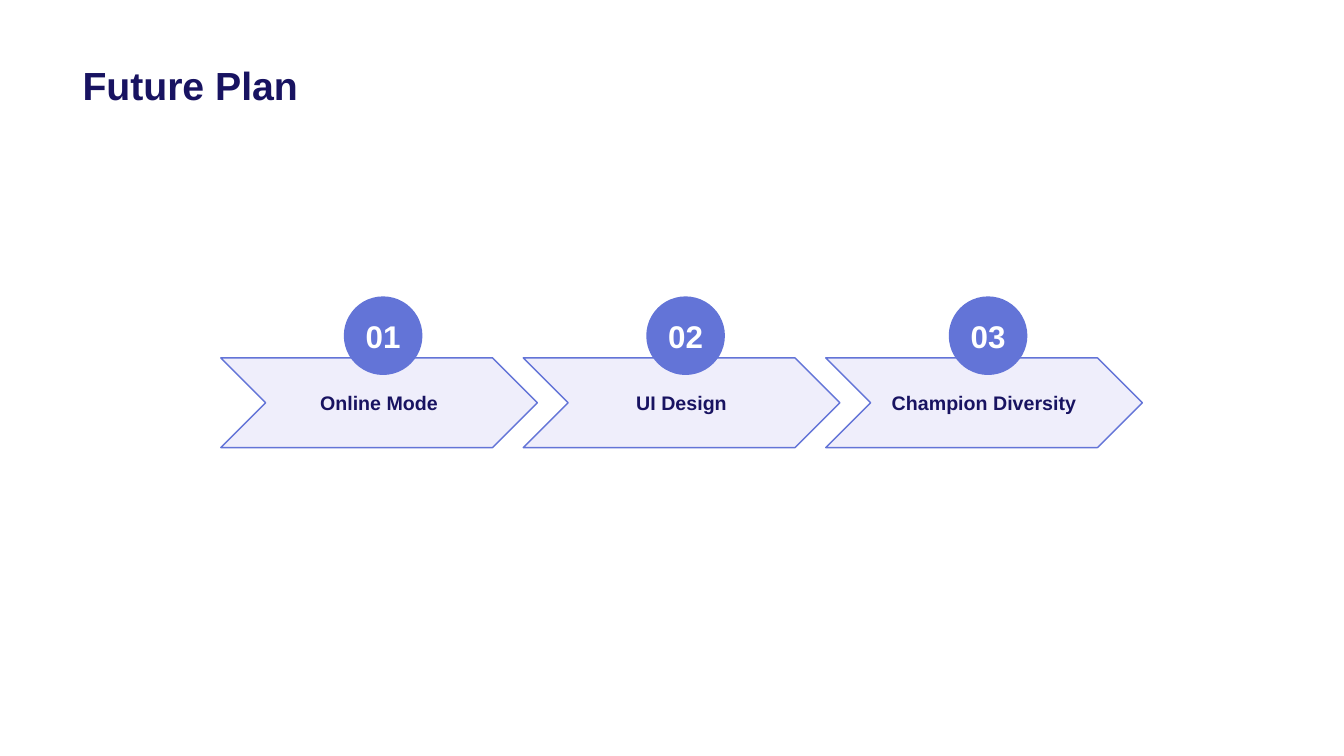
import pptx
import pptx.util
import pptx.dml.color
import pptx.enum.shapes
import pptx.enum.text
import pptx.oxml
import pptx.oxml.ns

PX = 9144  # EMU, 100 px to the inch
COLORS = {"navy": "181361", "blue": "6374D7", "violet": "635ADF", "white": "FFFFFF"}
STEPS = ["Online Mode", "UI Design", "Champion Diversity"]
STEP_LEFT, STEP_PITCH = 219, 300
SHAPE = pptx.enum.shapes.MSO_SHAPE
ALIGN = pptx.enum.text.PP_ALIGN
ANCHOR = pptx.enum.text.MSO_ANCHOR


def rgb(color):
    return pptx.dml.color.RGBColor.from_string(COLORS[color])


def box(left, top, width, height):
    return [length * PX for length in (left, top, width, height)]


def write(frame, text, size, color="navy", align=ALIGN.CENTER,
          anchor=ANCHOR.MIDDLE, margin=0):
    frame.word_wrap = True
    frame.vertical_anchor = anchor
    frame.margin_left = frame.margin_right = margin * PX
    paragraph = frame.paragraphs[0]
    paragraph.alignment = align
    run = paragraph.add_run()
    run.text = text
    run.font.name = "Arial"
    run.font.size = pptx.util.Pt(size)
    run.font.bold = True
    run.font.color.rgb = rgb(color)


def add_filled_shape(slide, kind, bounds, fill, opacity=100):
    shape = slide.shapes.add_shape(kind, *box(*bounds))
    shape.shadow.inherit = False
    shape.fill.solid()
    shape.fill.fore_color.rgb = rgb(fill)
    shape.line.fill.background()
    if opacity < 100:
        color = shape.fill._xPr.find(".//" + pptx.oxml.ns.qn("a:srgbClr"))
        alpha = pptx.oxml.parse_xml(
            f'<a:alpha {pptx.oxml.ns.nsdecls("a")} val="{opacity * 1000}"/>')
        color.append(alpha)
    return shape


def add_title(slide, text):
    title = slide.shapes.add_textbox(*box(72, 0, 1188, 112))
    write(title.text_frame, text, 28, align=ALIGN.LEFT,
          anchor=ANCHOR.BOTTOM, margin=10)


def add_step(slide, left, number, label):
    """Draw one chevron with its numbered badge on the top edge."""
    chevron = add_filled_shape(slide, SHAPE.CHEVRON, (left, 355, 314, 89),
                               "violet", opacity=10)
    chevron.line.color.rgb = rgb("blue")
    chevron.line.width = pptx.util.Pt(1)
    write(chevron.text_frame, label, 14)

    badge = add_filled_shape(slide, SHAPE.ROUNDED_RECTANGLE,
                             (left + 122, 294, 78, 78), "blue")
    badge.adjustments[0] = 0.5
    write(badge.text_frame, f"{number:02d}", 22.4, color="white")


def main():
    deck = pptx.Presentation()
    deck.slide_width, deck.slide_height = pptx.util.Inches(13.33), pptx.util.Inches(7.5)
    slide = deck.slides.add_slide(deck.slide_layouts[6])
    add_title(slide, "Future Plan")
    for index, label in enumerate(STEPS):
        add_step(slide, STEP_LEFT + index * STEP_PITCH, index + 1, label)
    deck.save("out.pptx")


if __name__ == "__main__":
    main()
